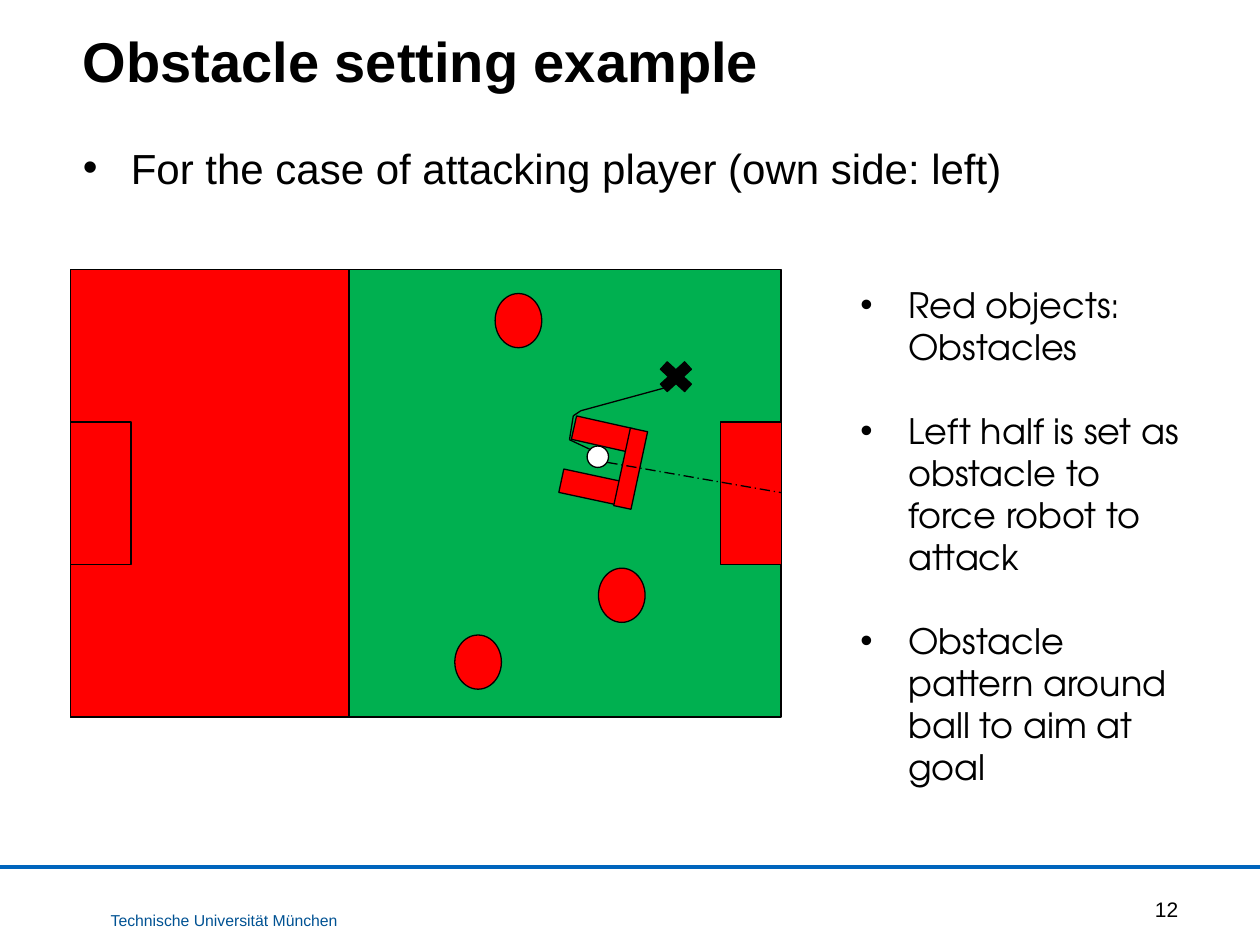
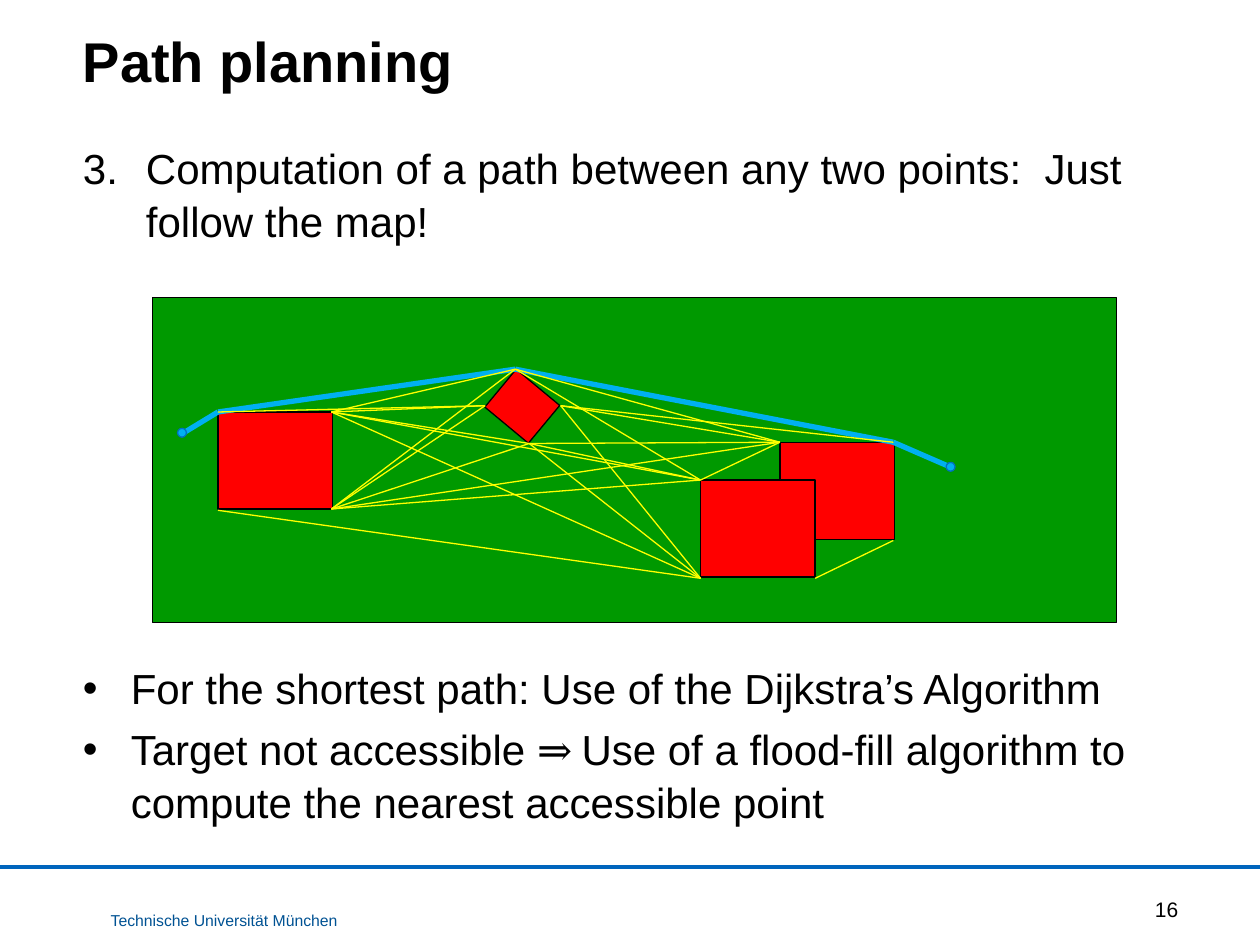
"""Build two slides on obstacle setting and path planning for robot soccer."""
from dataclasses import dataclass
from itertools import pairwise

from lxml.etree import SubElement
from pptx import Presentation
from pptx.dml.color import RGBColor
from pptx.enum.dml import MSO_LINE
from pptx.enum.shapes import MSO_CONNECTOR, MSO_SHAPE as Preset
from pptx.enum.text import MSO_ANCHOR as Anchor, PP_ALIGN as Align
from pptx.oxml.ns import qn
from pptx.slide import Slide
from pptx.text.text import TextFrame, _Paragraph as Paragraph
from pptx.util import Inches, Pt

BLACK = RGBColor(0x00, 0x00, 0x00)
WHITE = RGBColor(0xFF, 0xFF, 0xFF)
RED = RGBColor(0xFF, 0x00, 0x00)
YELLOW = RGBColor(0xFF, 0xFF, 0x00)
PITCH_GREEN = RGBColor(0x00, 0xB0, 0x50)
MAP_GREEN = RGBColor(0x00, 0x99, 0x00)
ROUTE_BLUE = RGBColor(0x00, 0xB0, 0xF0)
MARKER_EDGE = RGBColor(0x00, 0x70, 0xC0)
BAND_BLUE = RGBColor(0x00, 0x65, 0xBD)
FOOTER_BLUE = RGBColor(0x00, 0x52, 0x93)

Point = tuple[float, float]


@dataclass(frozen=True)
class Box:
    """A rectangle in inches."""

    left: float
    top: float
    width: float
    height: float

    def lengths(self) -> list[Inches]:
        """Return the four measures as lengths."""
        return [Inches(v) for v in (self.left, self.top, self.width, self.height)]


@dataclass(frozen=True)
class Figure:
    """A filled preset shape."""

    box: Box
    fill: RGBColor = RED
    preset: Preset = Preset.RECTANGLE
    rotation: float = 0
    edge: RGBColor = BLACK


@dataclass(frozen=True)
class TextStyle:
    """Font and paragraph settings of a text block."""

    size: float
    name: str = "Arial"
    color: RGBColor = BLACK
    bold: bool = False
    align: Align = Align.LEFT
    line_spacing: float = 1.0
    space_before: float = 0


TITLE = TextStyle(32, bold=True)
BODY = TextStyle(24, line_spacing=1.05, space_before=4.8)
SIDE = TextStyle(20, name="TeX Gyre Adventor", space_before=24)
FOOTER = TextStyle(9, color=FOOTER_BLUE)
NUMBER = TextStyle(12, align=Align.RIGHT)


def add_frame(slide: Slide, box: Box, anchor: Anchor = Anchor.TOP, wrap: bool = True) -> TextFrame:
    """Add a text box and return its frame."""
    frame = slide.shapes.add_textbox(*box.lengths()).text_frame
    frame.word_wrap = wrap
    frame.vertical_anchor = anchor
    return frame


def style_paragraph(paragraph: Paragraph, style: TextStyle, first: bool = True) -> None:
    """Apply a style to a paragraph."""
    paragraph.alignment = style.align
    paragraph.line_spacing = style.line_spacing
    paragraph.space_before = Pt(0 if first else style.space_before)
    font = paragraph.font
    font.size, font.name, font.bold = Pt(style.size), style.name, style.bold
    font.color.rgb = style.color


def add_label(slide: Slide, box: Box, text: str, style: TextStyle,
              anchor: Anchor = Anchor.TOP, wrap: bool = True) -> None:
    """Add a single paragraph of text."""
    paragraph = add_frame(slide, box, anchor, wrap).paragraphs[0]
    paragraph.add_run().text = text
    style_paragraph(paragraph, style)


def set_bullet(paragraph: Paragraph, number: int | None, indent: float) -> None:
    """Give a paragraph a hanging dot or number."""
    properties = paragraph._p.get_or_add_pPr()
    properties.set("marL", str(Inches(indent)))
    properties.set("indent", str(-Inches(indent)))
    SubElement(properties, qn("a:buFont"), typeface="Arial")
    if number is None:
        SubElement(properties, qn("a:buChar"), char="•")
    else:
        SubElement(properties, qn("a:buAutoNum"), type="arabicPeriod", startAt=str(number))


def add_list(slide: Slide, box: Box, items: list[str], style: TextStyle,
             number: int | None = None, indent: float = 0.38) -> None:
    """Add a list, with any arrow symbol set in Cambria."""
    frame = add_frame(slide, box)
    for index, item in enumerate(items):
        paragraph = frame.add_paragraph() if index else frame.paragraphs[0]
        set_bullet(paragraph, number, indent)
        before, arrow, after = item.partition("⇒ ")
        for part in filter(None, (before, arrow, after)):
            run = paragraph.add_run()
            run.text = part
            if part == arrow:
                run.font.name = "Cambria"
        style_paragraph(paragraph, style, first=index == 0)


def add_figure(slide: Slide, figure: Figure) -> None:
    """Draw a filled shape with a thin edge."""
    shape = slide.shapes.add_shape(figure.preset, *figure.box.lengths())
    shape.shadow.inherit = False
    shape.rotation = figure.rotation
    shape.fill.solid()
    shape.fill.fore_color.rgb = figure.fill
    shape.line.color.rgb = figure.edge
    shape.line.width = Pt(0.75)


def add_line(slide: Slide, start: Point, end: Point, color: RGBColor = BLACK,
             width: float = 0.75, dash: MSO_LINE | None = None) -> None:
    """Draw a straight line between two points."""
    ends = [Inches(value) for value in (*start, *end)]
    line = slide.shapes.add_connector(MSO_CONNECTOR.STRAIGHT, *ends)
    SubElement(line._element.spPr, qn("a:effectLst"))
    line.line.color.rgb = color
    line.line.width = Pt(width)
    if dash is not None:
        line.line.dash_style = dash


def add_base_slide(presentation: Presentation, title: str, number: int) -> Slide:
    """Add a slide with title, band and footer."""
    slide = presentation.slides.add_slide(presentation.slide_layouts[6])
    add_line(slide, (0, 6.88), (10, 6.88), BAND_BLUE, 2.25)
    add_label(slide, Box(0.78, 7.18, 2.02, 0.25), "Technische Universität München", FOOTER, wrap=False)
    add_label(slide, Box(0.56, 0.12, 7.96, 0.67), title, TITLE, Anchor.BOTTOM)
    add_label(slide, Box(8.89, 7.05, 0.56, 0.33), str(number), NUMBER, Anchor.MIDDLE)
    return slide


def build_obstacle_slide(presentation: Presentation) -> None:
    """Show the pitch with its obstacles and the robot's route."""
    slide = add_base_slide(presentation, "Obstacle setting example", 12)
    add_list(slide, Box(0.56, 1.06, 8.89, 0.6),
             ["For the case of attacking player (own side: left)"], BODY)
    add_list(slide, Box(6.73, 2.2, 2.86, 4.2), [
        "Red objects: Obstacles",
        "Left half is set as obstacle to force robot to attack",
        "Obstacle pattern around ball to aim at goal",
    ], SIDE)

    pitch = Figure(Box(0.56, 2.14, 5.64, 3.55), PITCH_GREEN)
    own_half = Figure(Box(0.56, 2.14, 2.21, 3.55))
    goal_areas = [Figure(Box(left, 3.35, 0.48, 1.13)) for left in (0.56, 5.72)]
    ball = Figure(Box(4.66, 3.54, 0.17, 0.17), WHITE, Preset.OVAL)
    ball_guard = [
        Figure(Box(4.55, 3.35, 0.47, 0.19), rotation=12.6),
        Figure(Box(4.45, 3.77, 0.47, 0.19), rotation=12.1),
        Figure(Box(4.69, 3.65, 0.63, 0.14), rotation=102.1),
    ]
    players = [Figure(Box(left, top, 0.37, 0.43), preset=Preset.OVAL)
               for left, top in ((3.61, 5.04), (4.75, 4.51), (3.93, 2.33))]
    robot = Figure(Box(5.18, 2.82, 0.37, 0.34), BLACK, Preset.MATH_MULTIPLY)
    for figure in (pitch, own_half, *goal_areas, ball, *ball_guard, *players, robot):
        add_figure(slide, figure)

    route = [(5.27, 3.08), (4.61, 3.26), (4.55, 3.3), (4.52, 3.49), (4.69, 3.57)]
    for start, end in pairwise(route):
        add_line(slide, start, end)
    add_line(slide, (4.82, 3.67), (6.2, 3.91), dash=MSO_LINE.LONG_DASH_DOT)


def build_path_slide(presentation: Presentation) -> None:
    """Show the visibility map and the shortest path through it."""
    slide = add_base_slide(presentation, "Path planning", 16)
    add_list(slide, Box(0.56, 1.06, 8.89, 1.0),
             ["Computation of a path between any two points:  Just follow the map!"],
             BODY, number=3, indent=0.5)
    add_list(slide, Box(0.56, 5.19, 8.89, 1.56), [
        "For the shortest path: Use of the Dijkstra’s Algorithm",
        "Target not accessible ⇒ Use of a flood-fill algorithm to compute the nearest accessible point",
    ], BODY)

    add_figure(slide, Figure(Box(1.21, 2.36, 7.65, 2.58), MAP_GREEN))
    for left, top in ((1.73, 3.27), (6.19, 3.51), (5.56, 3.81)):
        add_figure(slide, Figure(Box(left, top, 0.91, 0.77)))
    add_figure(slide, Figure(Box(3.92, 3.03, 0.45, 0.39), rotation=39.7))

    west_top_left, west_top_right = (1.73, 3.27), (2.63, 3.27)
    west_bottom_left, west_bottom_right = (1.73, 4.05), (2.63, 4.04)
    diamond_top, diamond_right = (4.09, 2.93), (4.45, 3.22)
    diamond_bottom, diamond_left = (4.2, 3.52), (3.85, 3.22)
    east_top_left, east_top_right, east_bottom_right = (6.19, 3.51), (7.09, 3.51), (7.09, 4.29)
    front_top_left, front_bottom_left, front_bottom_right = (5.56, 3.81), (5.56, 4.59), (6.47, 4.59)
    start, target = (1.45, 3.44), (7.55, 3.71)

    for leg in pairwise([start, west_top_left, diamond_top, east_top_right, target]):
        add_line(slide, *leg, ROUTE_BLUE, 3)
    visible_corners = {
        diamond_top: [west_top_right, west_bottom_right, front_top_left, east_top_left],
        diamond_right: [east_top_left, east_top_right, front_bottom_left],
        diamond_bottom: [west_top_right, west_bottom_right, front_top_left,
                         front_bottom_left, east_top_left],
        diamond_left: [west_top_left, west_top_right, west_bottom_right],
        west_top_right: [front_top_left, front_bottom_left],
        west_bottom_right: [front_top_left, east_top_left],
        west_bottom_left: [front_bottom_left],
        east_top_left: [front_top_left],
        east_bottom_right: [front_bottom_right],
    }
    for corner, others in visible_corners.items():
        for other in others:
            add_line(slide, corner, other, YELLOW)
    for x, y in (start, target):
        dot = Box(x - 0.04, y - 0.04, 0.07, 0.07)
        add_figure(slide, Figure(dot, ROUTE_BLUE, Preset.OVAL, edge=MARKER_EDGE))


def main() -> None:
    """Create and save the presentation."""
    presentation = Presentation()
    presentation.slide_width, presentation.slide_height = Inches(10), Inches(7.5)
    build_obstacle_slide(presentation)
    build_path_slide(presentation)
    presentation.save("out.pptx")


if __name__ == "__main__":
    main()
